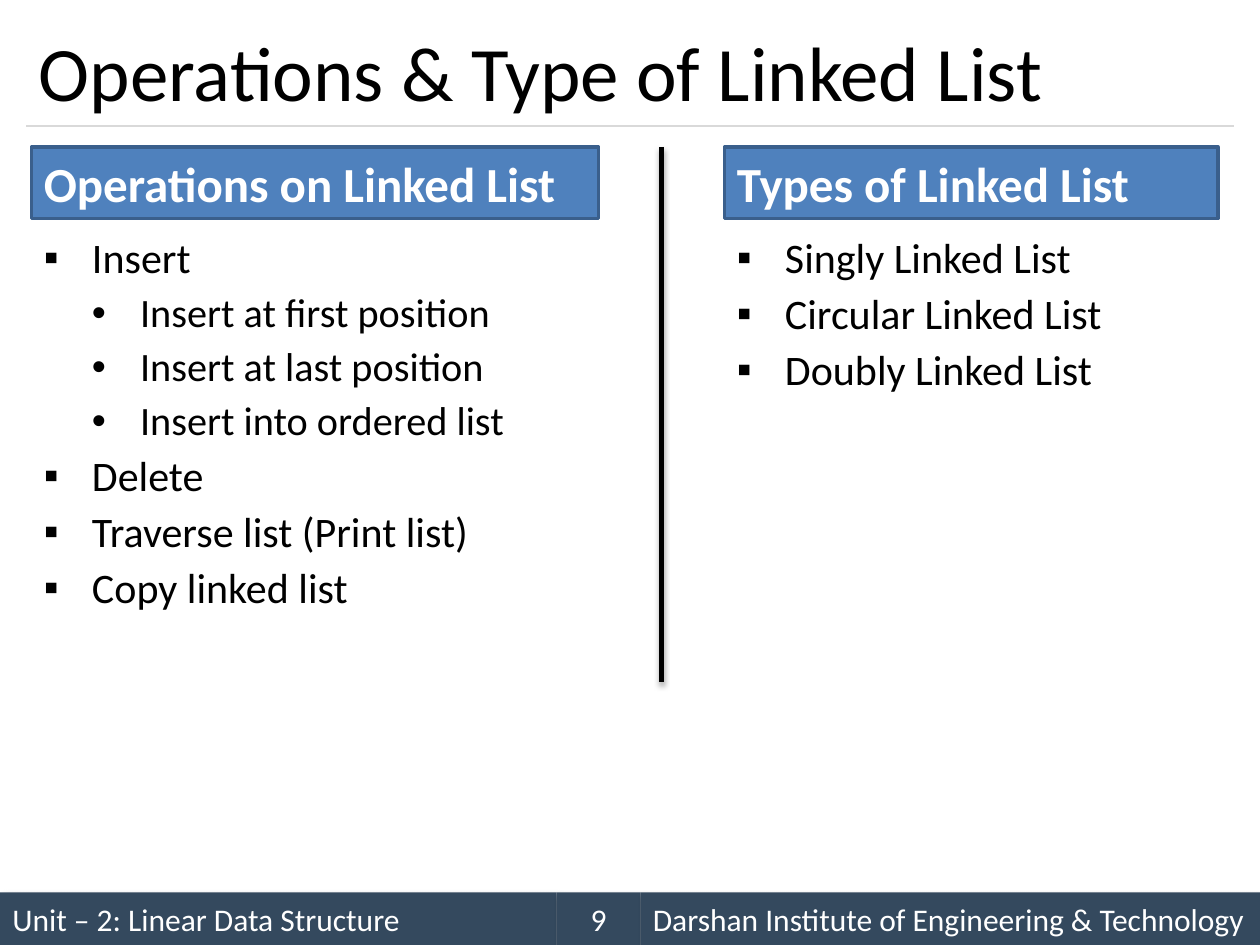
from lxml.etree import SubElement
from pptx import Presentation
from pptx.dml.color import RGBColor
from pptx.enum.shapes import MSO_CONNECTOR, MSO_SHAPE
from pptx.enum.text import MSO_ANCHOR, PP_ALIGN
from pptx.oxml.ns import qn
from pptx.util import Pt

# Content
TITLE = "Operations & Type of Linked List"
# Heading, left, heading width, list height, (level, text) items
COLUMNS = [
    ("Operations on Linked List", 18, 324, 234, [
        (0, "Insert"),
        (1, "Insert at first position"),
        (1, "Insert at last position"),
        (1, "Insert into ordered list"),
        (0, "Delete"),
        (0, "Traverse list (Print list)"),
        (0, "Copy linked list"),
    ]),
    ("Types of Linked List", 414, 282, 114, [
        (0, "Singly Linked List"),
        (0, "Circular Linked List"),
        (0, "Doubly Linked List"),
    ]),
]
# Text, width, alignment, from left to right
FOOTER = [
    ("Unit – 2: Linear Data Structure", 318, PP_ALIGN.LEFT),
    ("9", 48, PP_ALIGN.CENTER),
    ("Darshan Institute of Engineering & Technology", 354, PP_ALIGN.LEFT),
]

# Style
FONT = "Calibri"
BLACK = RGBColor(0x00, 0x00, 0x00)
WHITE = RGBColor(0xFF, 0xFF, 0xFF)
NAVY = RGBColor(0x34, 0x49, 0x5E)
BLUE = RGBColor(0x4F, 0x81, 0xBD)
BLUE_EDGE = RGBColor(0x3A, 0x5F, 0x8C)
GRAY = RGBColor(0xD9, 0xD9, 0xD9)
LEVELS = [("▪", 24), ("•", 23)]  # bullet, text size
INDENT = 27.5
SLIDE_WIDTH, SLIDE_HEIGHT = 720, 540
FOOTER_HEIGHT = 30
HEADING_TOP, HEADING_HEIGHT = 84, 41
LIST_TOP = 132


def set_font(paragraph, size, color, bold=False):
    font = paragraph.font
    font.name, font.size, font.bold = FONT, Pt(size), bold
    font.color.rgb = color


def set_effects(shape, alpha=None, blur=0, distance=0, angle=0):
    """Replace the theme shadow with the given one, or with none."""
    effects = SubElement(shape._element.spPr, qn("a:effectLst"))
    if alpha:
        shadow = SubElement(effects, qn("a:outerShdw"), blurRad=str(Pt(blur)),
                            dist=str(Pt(distance)), dir=str(angle * 60000),
                            algn="t", rotWithShape="0")
        color = SubElement(shadow, qn("a:srgbClr"), val=str(BLACK))
        SubElement(color, qn("a:alpha"), val=str(alpha * 1000))


def add_bar(left, top, width, height, text, size, fill, edge=None,
            alignment=PP_ALIGN.LEFT, bold=False):
    bar = slide.shapes.add_shape(MSO_SHAPE.RECTANGLE, Pt(left), Pt(top),
                                 Pt(width), Pt(height))
    bar.fill.solid()
    bar.fill.fore_color.rgb = fill
    if edge is None:
        bar.line.fill.background()
    else:
        bar.line.color.rgb = edge
        bar.line.width = Pt(2)
    bar.text_frame.vertical_anchor = MSO_ANCHOR.MIDDLE
    paragraph = bar.text_frame.paragraphs[0]
    paragraph.text = text
    paragraph.alignment = alignment
    set_font(paragraph, size, WHITE, bold)
    return bar


def add_line(x1, y1, x2, y2, color, width):
    line = slide.shapes.add_connector(MSO_CONNECTOR.STRAIGHT,
                                      Pt(x1), Pt(y1), Pt(x2), Pt(y2))
    line.line.color.rgb = color
    line.line.width = Pt(width)
    return line


def add_list(left, top, width, height, items):
    box = slide.shapes.add_textbox(Pt(left), Pt(top), Pt(width), Pt(height))
    frame = box.text_frame
    frame.word_wrap = True
    for index, (level, text) in enumerate(items):
        paragraph = frame.add_paragraph() if index else frame.paragraphs[0]
        bullet, size = LEVELS[level]
        paragraph.text = text
        paragraph.level = level
        paragraph.alignment = PP_ALIGN.JUSTIFY
        paragraph.line_spacing = 0.9
        paragraph.space_before = Pt(6 if index else 0)
        properties = paragraph._p.get_or_add_pPr()
        properties.set("marL", str(Pt(INDENT * (level + 1))))
        properties.set("indent", str(Pt(-INDENT)))
        SubElement(properties, qn("a:buFont"), typeface="Arial")
        SubElement(properties, qn("a:buChar"), char=bullet)
        set_font(paragraph, size, BLACK)


presentation = Presentation()
presentation.slide_width = Pt(SLIDE_WIDTH)
presentation.slide_height = Pt(SLIDE_HEIGHT)
slide = presentation.slides.add_slide(presentation.slide_layouts[5])

# Title and the rule below it
title = slide.shapes.title
title.left, title.top, title.width, title.height = Pt(15), Pt(9), Pt(690), Pt(63)
title.text_frame.text = TITLE
title.text_frame.vertical_anchor = MSO_ANCHOR.MIDDLE
title.text_frame.paragraphs[0].alignment = PP_ALIGN.LEFT
set_font(title.text_frame.paragraphs[0], 44, BLACK)
set_effects(add_line(15, 72, 705, 72, GRAY, 0.75))

# Footer bars side by side
left = 0
for text, width, alignment in FOOTER:
    bar = add_bar(left, SLIDE_HEIGHT - FOOTER_HEIGHT, width, FOOTER_HEIGHT,
                  text, 18, NAVY, alignment=alignment)
    set_effects(bar, alpha=40, blur=4, distance=3, angle=45)
    left += width

# Two columns and the divider between them
for heading, left, width, list_height, items in COLUMNS:
    bar = add_bar(left, HEADING_TOP, width, HEADING_HEIGHT, heading, 28,
                  BLUE, BLUE_EDGE, bold=True)
    set_effects(bar)
    add_list(left, LIST_TOP, min(width, 324), list_height, items)
divider = add_line(378, HEADING_TOP, 378, 390, BLACK, 3)
set_effects(divider, alpha=35, blur=3.1, distance=1.8, angle=90)

presentation.save("out.pptx")
